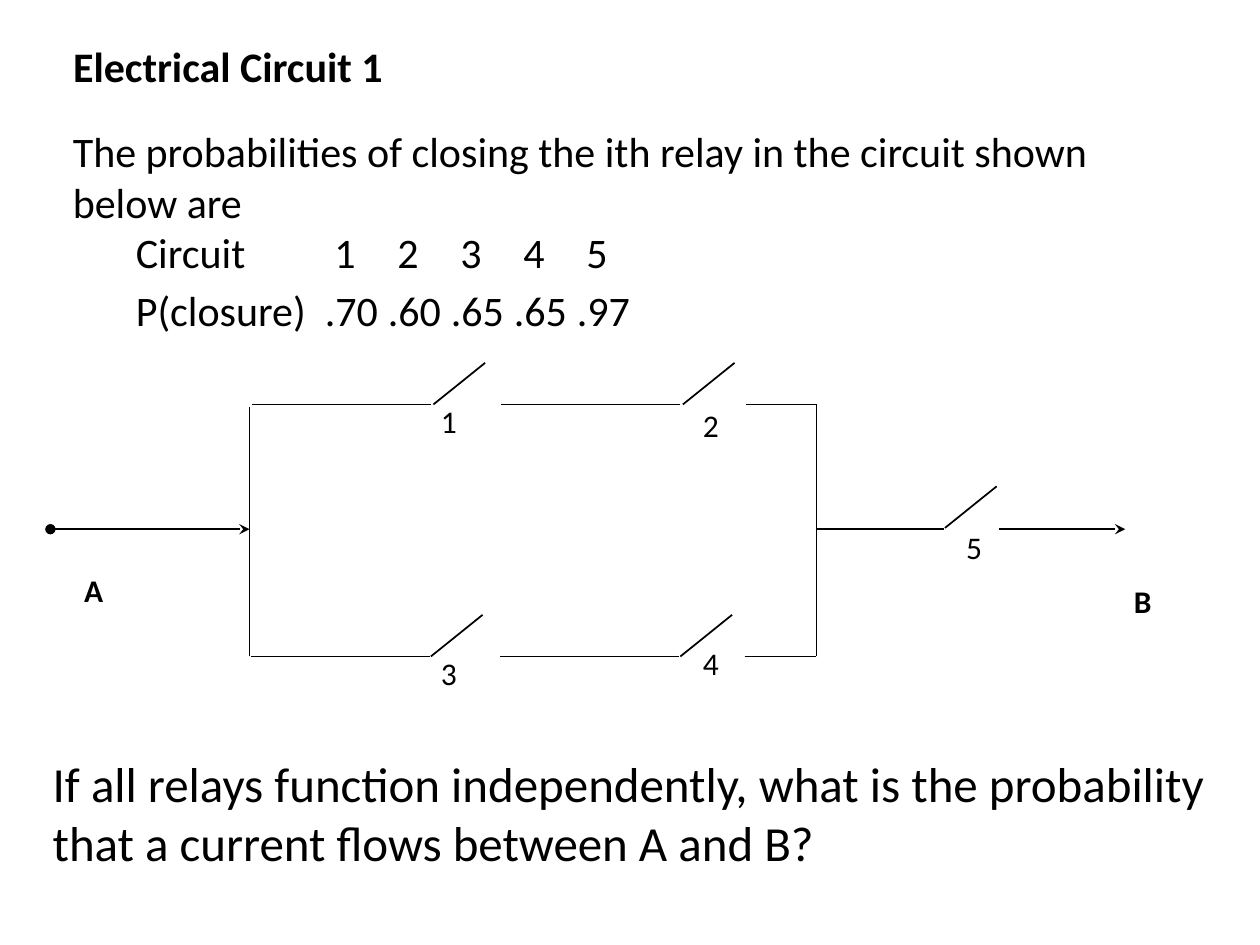
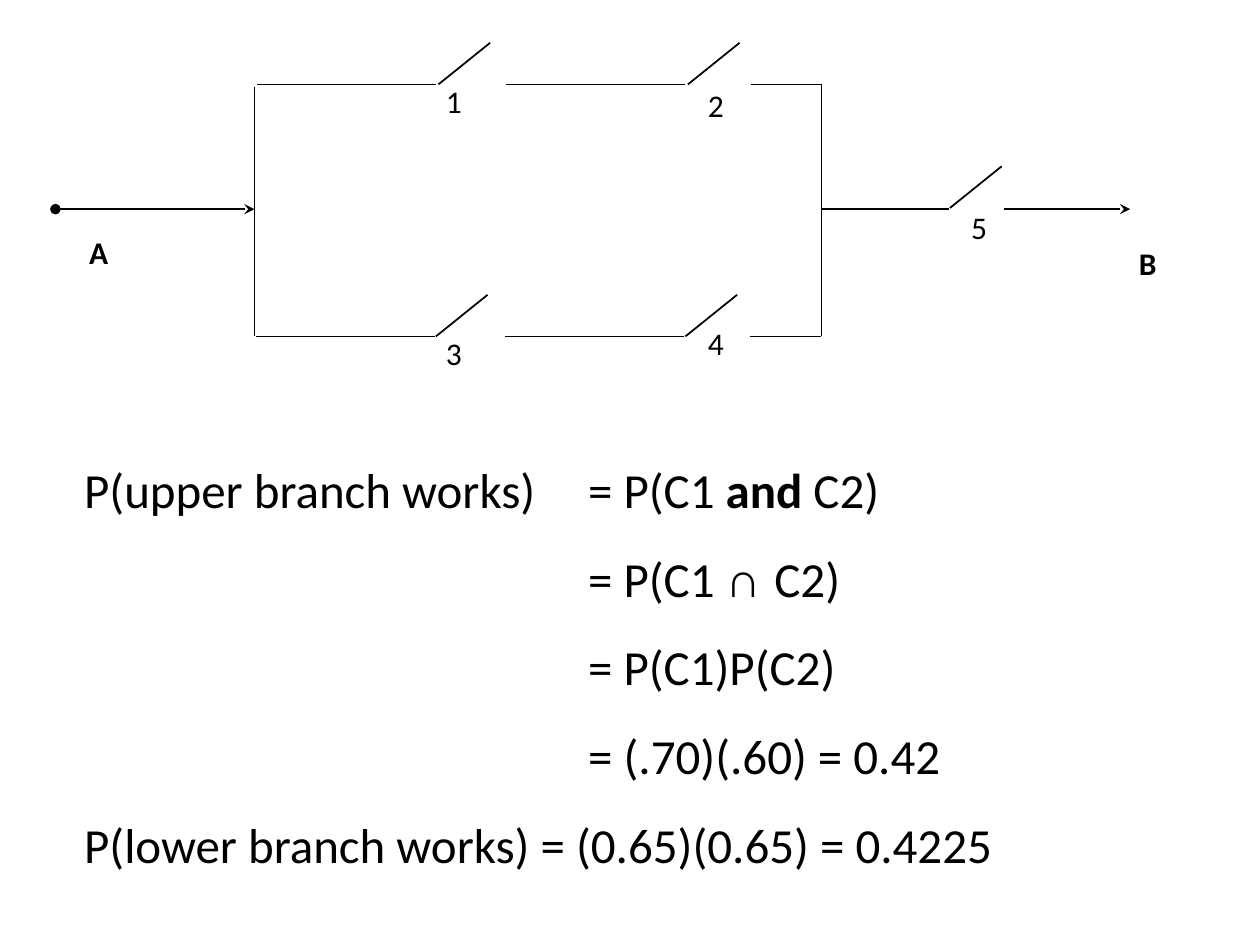
from lxml.etree import SubElement
from pptx import Presentation
from pptx.dml.color import RGBColor
from pptx.enum.shapes import MSO_CONNECTOR
from pptx.enum.text import MSO_ANCHOR, MSO_AUTO_SIZE, PP_ALIGN
from pptx.oxml.ns import qn
from pptx.util import Inches, Pt

BLACK = RGBColor(0, 0, 0)
FONT = "Calibri"
MATH = "Arial"
# Grid: 100 columns by 75 rows of square cells
COLS, ROWS = 100, 75
CELL = Inches(0.1)
TITLE_ONLY, BLANK = 5, 6


def cells(*counts):
    return [round(count * CELL) for count in counts]


def style(para, size, bold=False):
    for run in para.runs:
        font = run.font
        font.name, font.size, font.bold = FONT, Pt(size), bold
        font.color.rgb = BLACK


def add_text(slide, box, lines, size, bold=False, wrap=True):
    """Place one paragraph for each line of text."""
    frame = slide.shapes.add_textbox(*cells(*box)).text_frame
    frame.word_wrap = wrap
    frame.text = "\n".join(lines)
    for para in frame.paragraphs:
        style(para, size, bold)
    return frame


def add_title(slide, box, text):
    title = slide.shapes.title
    title.left, title.top, title.width, title.height = cells(*box)
    frame = title.text_frame
    frame.text = text
    frame.auto_size = MSO_AUTO_SIZE.NONE
    frame.vertical_anchor = MSO_ANCHOR.TOP
    para = frame.paragraphs[0]
    para.alignment = PP_ALIGN.LEFT
    style(para, 24, bold=True)


def add_circuit(slide, left, top, drop):
    """Draw the relay circuit; drop lowers the names of its ends."""
    high, mid, low = 3.3, 13.2, 23.3
    west, east = 15.8, 60.8

    def wire(x1, y1, x2, y2, head=None, tail=None):
        ends = cells(left + x1, top + y1, left + x2, top + y2)
        line = slide.shapes.add_connector(MSO_CONNECTOR.STRAIGHT, *ends)
        line.line.color.rgb = BLACK
        line.line.width = Pt(1)
        pen = line.line._get_or_add_ln()
        for tag, kind in (("a:headEnd", head), ("a:tailEnd", tail)):
            if kind:
                SubElement(pen, qn(tag), type=kind)
        SubElement(line._element.spPr, qn("a:effectLst"))

    def label(x, y, text, size=(3.3, 4), bold=False):
        add_text(slide, (left + x, top + y, *size), [text], 18, bold, wrap=False)

    def relay(x, y):
        wire(x, y, x + 4.1, y - 3.3)

    # Entry and side rails
    wire(0, mid, west, mid, "oval", "stealth")
    wire(west, low, west, high + 0.2)
    wire(east, low, east, high)

    # Upper and lower branch
    for y, shift in ((high, 0), (low, -0.1)):
        for start, stop in ((16, 30.2), (35.8, 50)):
            wire(start + shift, y, stop + shift, y)
            relay(stop + 0.2 + 2 * shift, y)
        wire(55.2 + shift, y, east, y)

    # Exit
    wire(east, mid, 70.9, mid)
    relay(71, mid - 0.1)
    wire(75.3, mid, 85.3, mid, tail="stealth")

    # Relay numbers and ends
    spots = ((30, 2.6), (50.8, 2.9), (30, 22.6), (50.8, 21.8), (71.7, 12.6))
    for number, (x, y) in enumerate(spots, 1):
        label(x, y, str(number))
    label(1.7, mid + drop, "A", (4.4, 5), bold=True)
    label(85, mid + drop + 0.9, "B", (4.2, 5), bold=True)


def build_task(deck):
    slide = deck.slides.add_slide(deck.slide_layouts[TITLE_ONLY])
    add_title(slide, (4.8, 2.7, 91, 5), "Electrical Circuit 1")
    # Problem and closing probabilities
    odds = add_text(slide, (4.8, 9.5, 91, 17.8), [
        "The probabilities of closing the ith relay in the circuit shown below are",
        "\tCircuit\t\t 1\t 2\t 3\t 4\t 5",
        "\tP(closure)\t.70\t.60\t.65\t.65\t.97",
    ], 24)
    odds.paragraphs[-1].space_before = Pt(4)
    add_text(slide, (3.2, 59.3, 94.3, 10.4), [
        "If all relays function independently, what is the probability "
        "that a current flows between A and B?"], 28)
    add_circuit(slide, 4, 28.8, drop=2.8)


def build_answer(deck):
    slide = deck.slides.add_slide(deck.slide_layouts[BLANK])
    # Working, one step a line
    steps = add_text(slide, (5.7, 36, 91, 34), [
        "P(upper branch works) \t= P(C1 ",
        "= P(C1 ",
        "= P(C1)P(C2)",
        "= (.70)(.60) = 0.42",
        "P(lower branch works) = (0.65)(0.65) = 0.4225",
    ], 28).paragraphs
    for para, parts in zip(steps, (("and", " C2)"), ("∩ ", "C2)"))):
        for part in parts:
            para.add_run().text = part
        style(para, 28)
    steps[0].runs[1].font.bold = True
    steps[1].runs[1].font.name = MATH
    for para in steps[1:]:
        para.space_before = Pt(17)
    for para in steps[1:4]:
        para._p.get_or_add_pPr().set("marL", str(40 * CELL))
    add_circuit(slide, 4.4, 3.4, drop=1.4)


def main():
    deck = Presentation()
    deck.slide_width, deck.slide_height = cells(COLS, ROWS)
    build_task(deck)
    build_answer(deck)
    deck.save("out.pptx")


if __name__ == "__main__":
    main()
